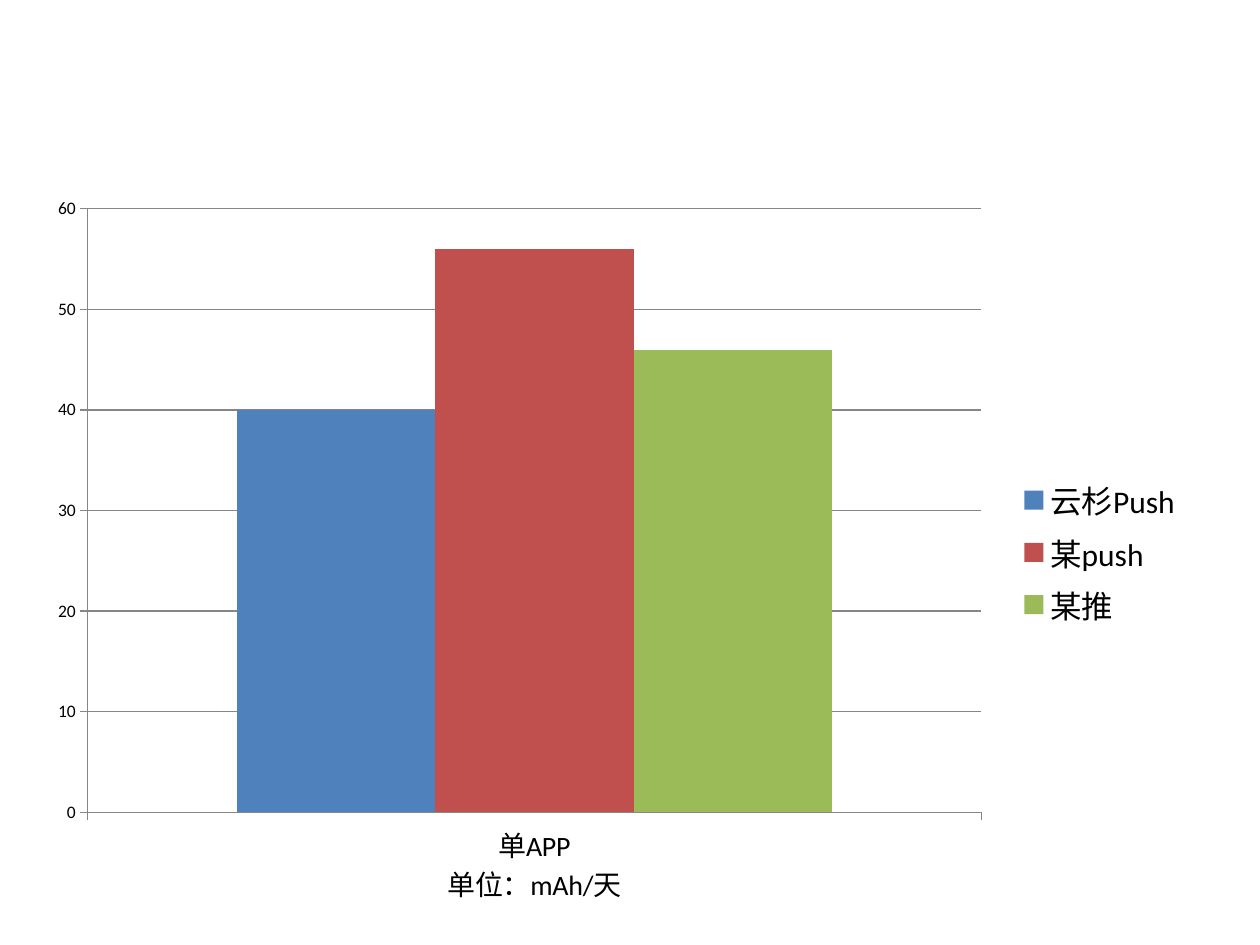
from lxml import etree
from pptx import Presentation
from pptx.chart.data import CategoryChartData
from pptx.dml.color import RGBColor
from pptx.enum.chart import XL_CHART_TYPE, XL_LEGEND_POSITION, XL_TICK_MARK
from pptx.oxml.ns import qn
from pptx.util import Pt

COLORS = {
    "text": "000000",
    "axis": "868686",
    "blue": "4F81BD",
    "red": "C0504D",
    "green": "9BBB59",
}
CATEGORY = "单APP\n单位：mAh/天"
SERIES = [
    ("云杉Push", 40, "blue"),
    ("某push", 56, "red"),
    ("某推", 46, "green"),
]


def color(name):
    return RGBColor.from_string(COLORS[name])


def style_font(font, size):
    font.name = "Calibri"
    font.size = Pt(size)
    font.color.rgb = color("text")


def style_line(line):
    line.color.rgb = color("axis")
    line.width = Pt(0.72)


def style_axis(axis, size):
    axis.major_tick_mark = XL_TICK_MARK.OUTSIDE
    axis.minor_tick_mark = XL_TICK_MARK.NONE
    style_line(axis.format.line)
    style_font(axis.tick_labels.font, size)


def place_plot(chart, chart_width, chart_height, left, top, width, height):
    """Fix the inner plot area, given in points from the chart's corner."""
    plot_area = chart._chartSpace.chart.plotArea
    for old in plot_area.findall(qn("c:layout")):
        plot_area.remove(old)
    layout = etree.Element(qn("c:layout"))
    manual = etree.SubElement(layout, qn("c:manualLayout"))
    settings = [
        ("layoutTarget", "inner"), ("xMode", "edge"), ("yMode", "edge"),
        ("x", left / chart_width), ("y", top / chart_height),
        ("w", width / chart_width), ("h", height / chart_height),
    ]
    for tag, value in settings:
        etree.SubElement(manual, qn(f"c:{tag}")).set("val", str(value))
    plot_area.insert(0, layout)


def add_power_chart(page, left, top, width, height):
    data = CategoryChartData()
    data.categories = [CATEGORY]
    for name, value, _ in SERIES:
        data.add_series(name, [value])
    chart = page.shapes.add_chart(
        XL_CHART_TYPE.COLUMN_CLUSTERED,
        Pt(left), Pt(top), Pt(width), Pt(height), data,
    ).chart
    chart.has_title = False
    style_font(chart.font, 10)

    plot = chart.plots[0]
    plot.vary_by_categories = False
    plot.gap_width = 150
    plot.overlap = 0
    for series, (_, _, fill) in zip(plot.series, SERIES):
        series.format.fill.solid()
        series.format.fill.fore_color.rgb = color(fill)

    style_axis(chart.category_axis, 16)
    style_axis(chart.value_axis, 10)
    chart.value_axis.minimum_scale = 0
    chart.value_axis.maximum_scale = 60
    chart.value_axis.major_unit = 10
    chart.value_axis.has_major_gridlines = True
    style_line(chart.value_axis.major_gridlines.format.line)

    chart.has_legend = True
    chart.legend.position = XL_LEGEND_POSITION.RIGHT
    chart.legend.include_in_layout = False
    style_font(chart.legend.font, 18)
    place_plot(chart, width, height, 30, 13.5, 510.5, 345)


def main():
    deck = Presentation()
    deck.slide_width, deck.slide_height = Pt(720), Pt(540)
    page = deck.slides.add_slide(deck.slide_layouts[6])
    add_power_chart(page, 20.2, 105.8, 663.1, 419.8)
    deck.save("out.pptx")


if __name__ == "__main__":
    main()
